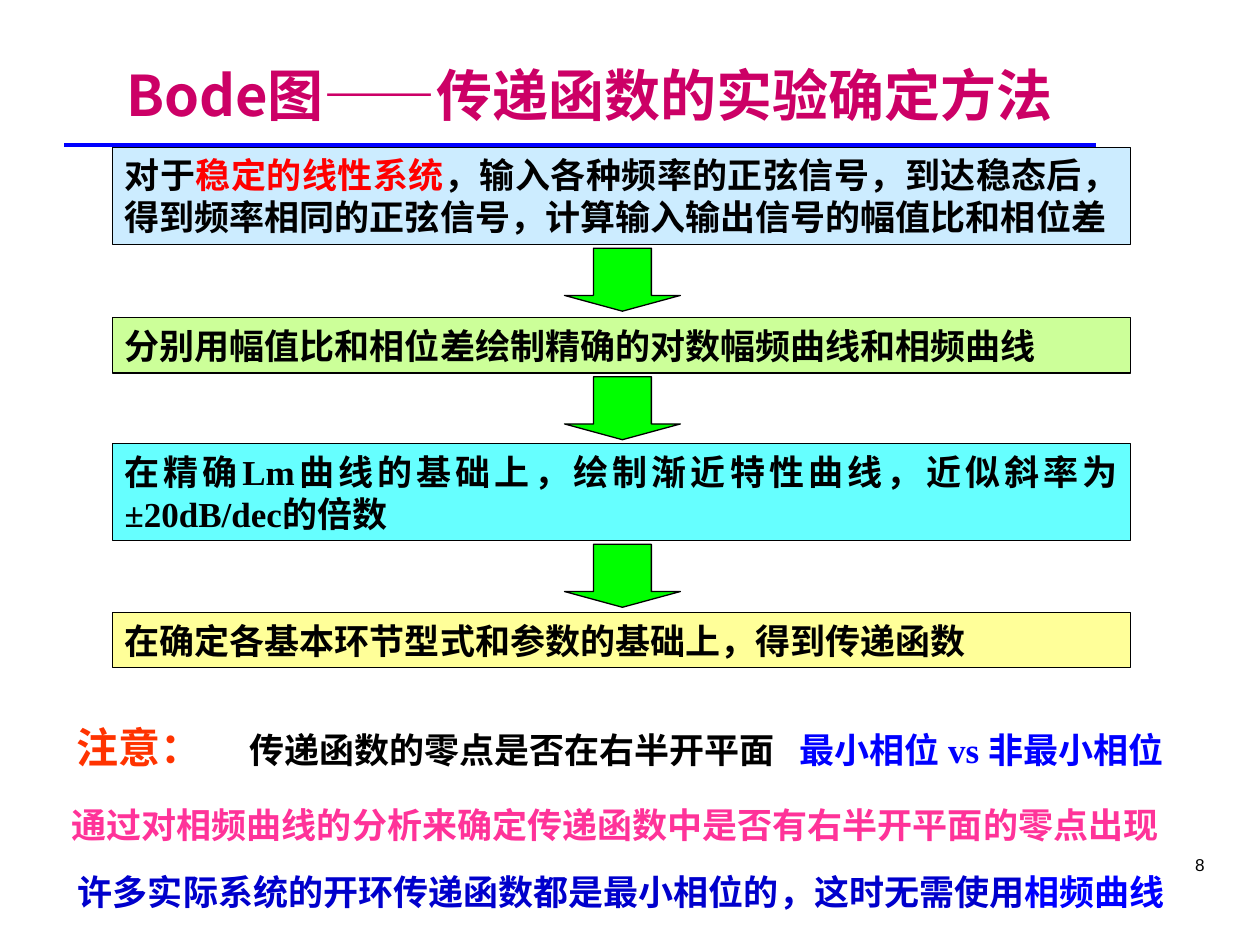
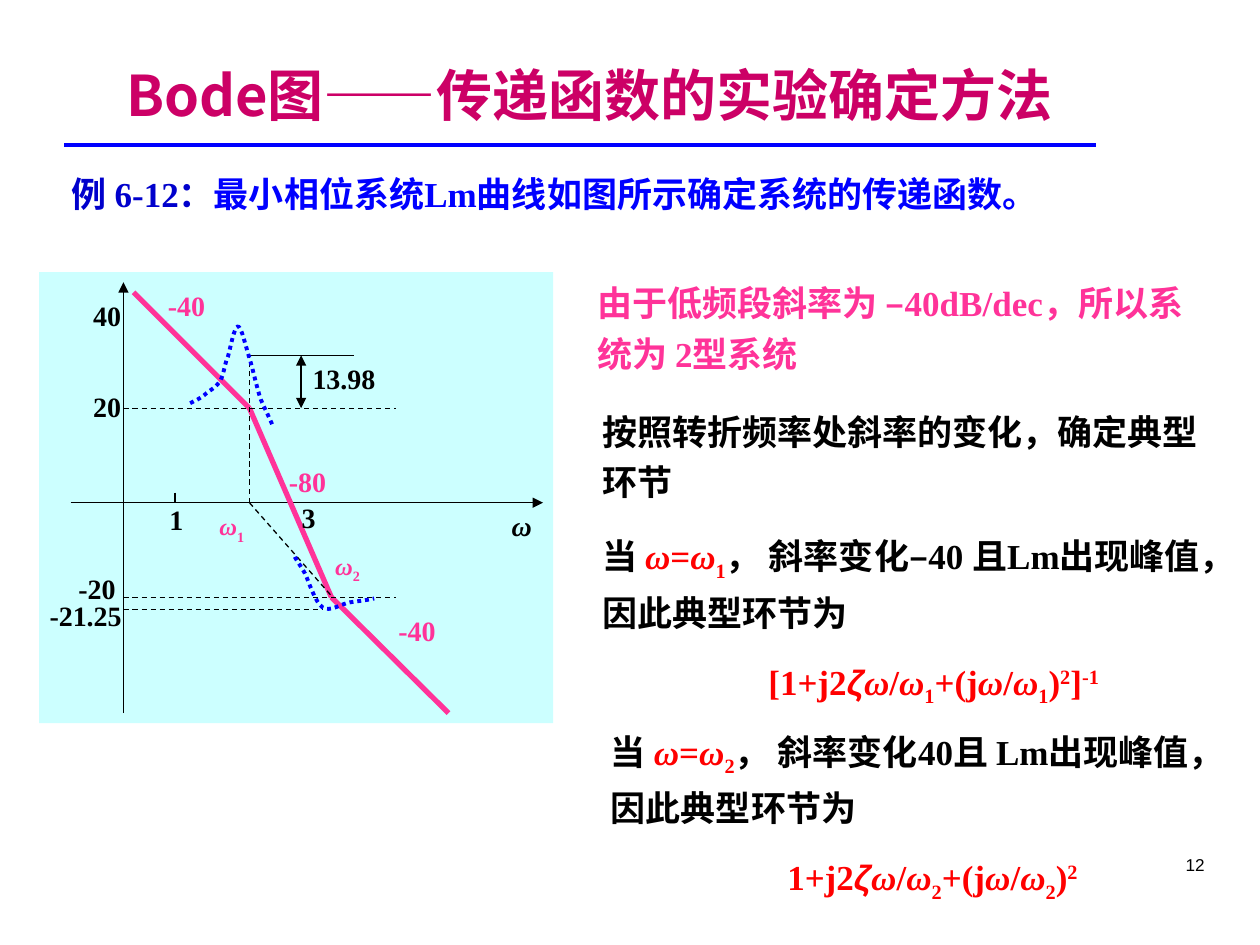
from itertools import pairwise
from math import comb

from pptx import Presentation
from pptx.dml.color import RGBColor
from pptx.enum.dml import MSO_LINE
from pptx.enum.shapes import MSO_CONNECTOR, MSO_SHAPE
from pptx.enum.text import MSO_ANCHOR, MSO_AUTO_SIZE, PP_ALIGN
from pptx.oxml.ns import qn
from pptx.util import Pt
from lxml.etree import SubElement

# Shared values: one px is a hundredth of an inch
PX = 9144
BLACK, BLUE, NAVY = "000000", "0000FF", "0000CC"
RED, PINK, MAGENTA = "FF0000", "FF3399", "CC0066"
TITLE = "Bode图——传递函数的实验确定方法"
KINDS = {"i": {"italic": True}, "z": {"italic": True, "name": "Arial"}}
BASES = {"_": "-25000", "^": "30000"}
rgb = RGBColor.from_string


def write(shape, paras, size=20, color=BLACK, name="Times New Roman", bold=True,
          align=PP_ALIGN.LEFT, space=1.0, inset=(10, 5)):
    """Each paragraph is a list of runs: (text, colour, kind)."""
    frame = shape.text_frame
    frame.word_wrap = True
    frame.auto_size = MSO_AUTO_SIZE.NONE
    frame.margin_left = frame.margin_right = inset[0] * PX
    frame.margin_top = frame.margin_bottom = inset[1] * PX
    for k, runs in enumerate(paras):
        para = frame.add_paragraph() if k else frame.paragraphs[0]
        para.alignment, para.line_spacing = align, space
        para.space_before = Pt(10 if k else 0)
        for text, tint, kind in runs:
            run = para.add_run()
            run.text = text
            form = {"size": Pt(size), "bold": bold, "name": name}
            for key, val in (form | KINDS.get(kind, {})).items():
                setattr(run.font, key, val)
            run.font.color.rgb = rgb(tint or color)
            if kind in BASES:
                run.font._element.set("baseline", BASES[kind])


def wire(slide, ends, color=BLACK, width=0.75, dash=None, tips=()):
    line = slide.shapes.add_connector(MSO_CONNECTOR.STRAIGHT, *(v * PX for v in ends))
    line.line.color.rgb = rgb(color)
    line.line.width = Pt(width)
    if dash:
        line.line.dash_style = dash
    props = line._element.spPr
    for tip in tips:
        SubElement(props.find(qn("a:ln")), qn(f"a:{tip}"), type="triangle")
    SubElement(props, qn("a:effectLst"))


deck = Presentation()
deck.slide_width, deck.slide_height = 1000 * PX, 750 * PX

# Title, rule and page number on both slides
for page in ("8", "12"):
    slide = deck.slides.add_slide(deck.slide_layouts[5])
    head = slide.shapes.title
    head.left, head.top, head.width, head.height = (v * PX for v in (90, 19, 823, 87))
    write(head, [[(TITLE, None, "")]], 32, MAGENTA, "Noto Sans CJK JP")
    head.text_frame.vertical_anchor = MSO_ANCHOR.BOTTOM
    wire(slide, (51, 115, 870, 115), BLUE, 2)
    foot = slide.shapes.add_textbox(*(v * PX for v in (835, 676, 131, 28)))
    write(foot, [[(page, None, "")]], 9.8, name="Arial", bold=False,
          align=PP_ALIGN.RIGHT, space=0.8)
flow, case = deck.slides

# Flow of four steps
STEPS = [
    (117, 77, "CCECFF", [
        ("对于", None, ""), ("稳定的线性系统", RED, ""),
        ("，输入各种频率的正弦信号，到达稳态后，得到频率相同的正弦信号，"
         "计算输入输出信号的幅值比和相位差", None, "")]),
    (252, 44, "CCFF99", [("分别用幅值比和相位差绘制精确的对数幅频曲线和相频曲线", None, "")]),
    (352, 77, "66FFFF", [
        ("在精确Lm曲线的基础上，绘制渐近特性曲线，近似斜率为 ±20dB/dec的倍数", None, "")]),
    (486, 44, "FFFF99", [("在确定各基本环节型式和参数的基础上，得到传递函数", None, "")]),
]
for k, (top, high, fill, runs) in enumerate(STEPS):
    parts = [(MSO_SHAPE.RECTANGLE, (89, top, 808, high), fill)]
    if k < len(STEPS) - 1:
        parts.append((MSO_SHAPE.DOWN_ARROW, (448, top + high + 3, 92, 50), "00FF00"))
    for kind, box, tint in parts:
        shape = flow.shapes.add_shape(kind, *(v * PX for v in box))
        shape.shadow.inherit = False
        shape.fill.solid()
        shape.fill.fore_color.rgb = rgb(tint)
        shape.line.color.rgb = rgb(BLACK)
        shape.line.width = Pt(0.75)
        if kind == MSO_SHAPE.RECTANGLE:
            write(shape, [runs], align=PP_ALIGN.JUSTIFY)
        else:
            shape.adjustments[1] = 0.25

# Notes under the flow
note = flow.shapes.add_textbox(*(v * PX for v in (51, 560, 920, 50)))
write(note, [[("注意：", "FF3300", ""), ("\t传递函数的零点是否在右半开平面", None, ""),
              ("\t最小相位 vs 非最小相位", BLUE, "")]], space=1.2)
para = note.text_frame.paragraphs[0]
para.runs[0].font.size = Pt(24)
tabs = SubElement(para._p.get_or_add_pPr(), qn("a:tabLst"))
for stop in (137, 574):
    SubElement(tabs, qn("a:tab"), pos=str(stop * PX), algn="l")

NOTES = [
    (47, 626, [("通过对相频曲线的分析来确定传递函数中是否有右半开平面的零点出现", PINK, "")]),
    (52, 679, [("许多实际系统的开环传递函数都是最小相位的，这时无需使用", NAVY, ""),
               ("相频曲线", BLUE, "")]),
]
for left, top, runs in NOTES:
    note = flow.shapes.add_textbox(left * PX, top * PX, 900 * PX, 50 * PX)
    write(note, [runs], space=1.2)

# Example heading
task = case.shapes.add_textbox(*(v * PX for v in (47, 132, 867, 44)))
write(task, [[("例 6-12：", NAVY, ""),
              ("最小相位系统Lm曲线如图所示确定系统的传递函数。", BLUE, "")]])

# Plot panel and axes
panel = case.shapes.add_shape(MSO_SHAPE.RECTANGLE, *(v * PX for v in (31, 216, 408, 358)))
panel.shadow.inherit = False
panel.fill.solid()
panel.fill.fore_color.rgb = rgb("CCFFFF")
panel.line.fill.background()
for ends in ((56, 399, 431, 399), (98, 566, 98, 224)):
    wire(case, ends, tips=["tailEnd"])

# Asymptotes
for start, end in pairwise([(106, 232), (198, 324), (263, 474), (356, 566)]):
    wire(case, start + end, PINK, 3)

# Guides, tick and peak height
for ends in ((98, 324, 314, 324), (98, 474, 314, 474), (198, 399, 198, 282),
             (198, 399, 264, 474), (98, 484, 256, 484)):
    wire(case, ends, dash=MSO_LINE.DASH)
for ends in ((198, 282, 281, 282), (139, 391, 139, 399)):
    wire(case, ends)
wire(case, (239, 282, 239, 324), tips=["headEnd", "tailEnd"])

# Exact curves: Bezier knots and handles, three points a segment
CURVES = [
    [(151, 320), (153, 319), (160, 316), (164, 312), (168, 309), (172, 307), (175, 302),
     (178, 296), (178, 290), (181, 283), (183, 276), (186, 259), (189, 259),
     (192, 260), (195, 275), (198, 284), (201, 294), (204, 308), (207, 317),
     (211, 326), (215, 334), (217, 339)],
    [(234, 442), (235, 444), (238, 448), (242, 455), (245, 461), (250, 478), (256, 482),
     (262, 486), (271, 479), (278, 478), (285, 477), (293, 476), (297, 475)],
]
for knots in CURVES:
    dots = []
    for k in range(0, len(knots) - 1, 3):
        for t in (n / 8 for n in range(1, 9)):
            mix = [comb(3, j) * t**j * (1 - t)**(3 - j) for j in range(4)]
            dots.append([round(PX * sum(m * p[axis] for m, p in zip(mix, knots[k:k + 4])))
                         for axis in (0, 1)])
    pen = case.shapes.build_freeform(knots[0][0] * PX, knots[0][1] * PX)
    pen.add_line_segments(dots, close=False)
    curve = pen.convert_to_shape()
    curve.shadow.inherit = False
    curve.fill.background()
    curve.line.color.rgb = rgb(BLUE)
    curve.line.width = Pt(2.25)
    curve.line.dash_style = MSO_LINE.ROUND_DOT

# Plot labels: centre, top, size, colour, runs
LABELS = [
    (273, 287, 16, BLACK, [("13.98", "")]),
    (148, 229, 16, PINK, [("-40", "")]),
    (244, 369, 16, PINK, [("-80", "")]),
    (331, 487, 16, PINK, [("-40", "")]),
    (140, 399, 16, BLACK, [("1", "")]),
    (245, 397, 16, BLACK, [("3", "")]),
    (85, 309, 16, BLACK, [("20", "")]),
    (85, 237, 16, BLACK, [("40", "")]),
    (77, 454, 16, BLACK, [("-20", "")]),
    (68, 475, 16, BLACK, [("-21.25", "")]),
    (414, 404, 16, BLACK, [("ω", "i")]),
    (184, 406, 14, PINK, [("ω", "i"), ("1", "_")]),
    (276, 437, 14, PINK, [("ω", "i"), ("2", "_")]),
]
for mid, top, size, tint, runs in LABELS:
    label = case.shapes.add_textbox((mid - 35) * PX, top * PX, 70 * PX, 27 * PX)
    write(label, [[(text, None, kind) for text, kind in runs]], size, tint,
          align=PP_ALIGN.CENTER, inset=(0, 0))

# Reasoning beside the plot
for left, top, tint, text in (
        (464, 212, PINK, "由于低频段斜率为 –40dB/dec，所以系统为 2型系统"),
        (468, 314, BLACK, "按照转折频率处斜率的变化，确定典型环节")):
    lead = case.shapes.add_textbox(left * PX, top * PX, 509 * PX, 90 * PX)
    write(lead, [[(text, tint, "")]], space=1.2)

# Typical element at each corner frequency
CORNERS = [
    (468, 412, 132, "1", "， 斜率变化–40 且Lm出现峰值，因此典型环节为", "[", [("]", ""), ("-1", "^")]),
    (475, 567, 140, "2", "， 斜率变化40且 Lm出现峰值，因此典型环节为", "", []),
]
for left, top, dent, num, text, start, end in CORNERS:
    omega = [("ω", "i"), (num, "_")]
    ratio = [("ω", "i"), ("/", "")] + omega
    when = [("ω", "i"), ("=", "")] + omega
    term = ([(start + "1+j2", ""), ("ζ", "z")] + ratio + [("+(j", "")] + ratio
            + [(")", ""), ("2", "^")] + end)
    when, term = ([(word, RED, kind) for word, kind in runs] for runs in (when, term))
    box = case.shapes.add_textbox(left * PX, top * PX, 500 * PX, 155 * PX)
    write(box, [[("当 ", None, "")] + when + [(text, None, "")], term], space=1.2)
    props = box.text_frame.paragraphs[1]._p.get_or_add_pPr()
    props.set("marL", str(dent * PX))
    props.set("indent", "0")

deck.save("out.pptx")
